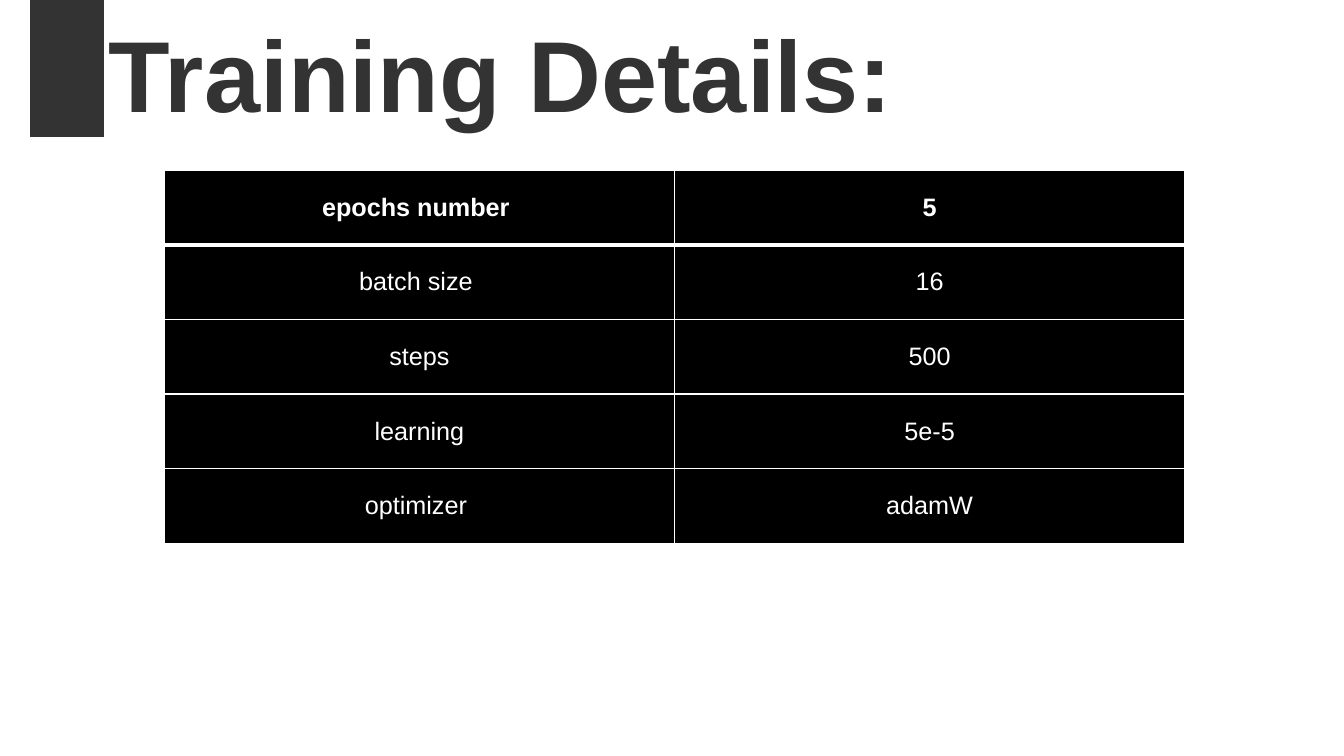
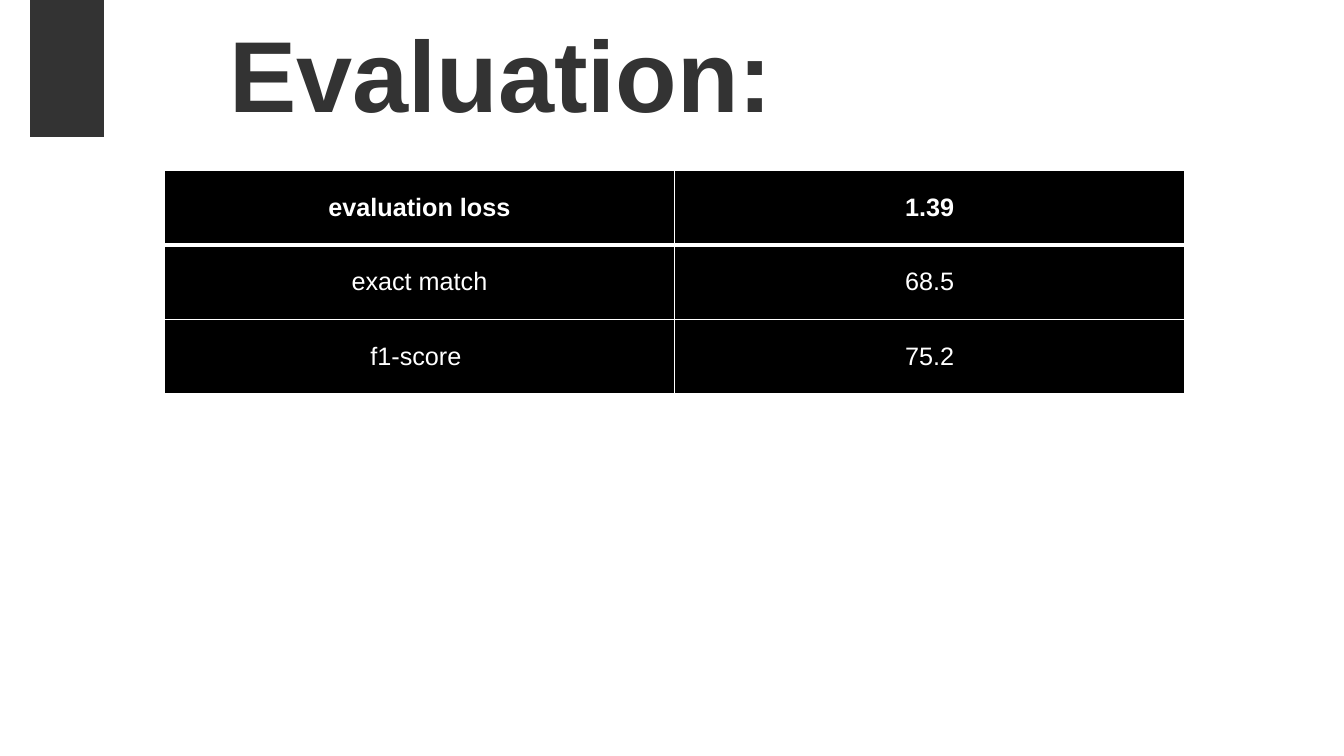
"""Build the training details and evaluation slides."""
from dataclasses import dataclass

from lxml.etree import SubElement as Sub
from pptx import Presentation as Deck
from pptx.dml.color import RGBColor as Rgb
from pptx.enum.shapes import MSO_SHAPE as Kind
from pptx.enum.text import MSO_ANCHOR as Anchor
from pptx.enum.text import MSO_AUTO_SIZE as Fit
from pptx.enum.text import PP_ALIGN as Align
from pptx.oxml.ns import qn
from pptx.util import Inches, Pt


@dataclass(frozen=True)
class Theme:
    """Hold the shared colours, font and type sizes."""
    dark: str = "333333"
    black: str = "000000"
    white: str = "FFFFFF"
    font: str = "Arial"
    head: int = 72
    body: int = 18
    thin: int = 1
    thick: int = 3


THEME = Theme()
ROW = 0.74
COL = 5.06

SLIDES = [
    ("Training Details:", [
        ("epochs number ", "5"),
        ("batch size ", "16"),
        ("steps", "500"),
        ("learning", "5e-5"),
        ("optimizer ", "adamW"),
    ]),
    ("Evaluation:", [
        ("evaluation loss", "1.39"),
        ("exact match", "68.5"),
        ("f1-score ", "75.2"),
    ]),
]


def apply(item, form):
    """Set each attribute named in a dict of format values."""
    for name, value in form.items():
        setattr(item, name, value)


def paint(fill, tone):
    """Give a fill one solid colour."""
    fill.solid()
    fill.fore_color.rgb = Rgb.from_string(tone)


def write(frame, text, size, tone, bold):
    """Write one centred line in a text frame."""
    frame.text = text
    line = frame.paragraphs[0]
    line.alignment = Align.CENTER
    font = line.runs[0].font
    apply(font, {"name": THEME.font, "size": Pt(size), "bold": bold})
    font.color.rgb = Rgb.from_string(tone)


def add_title(slide, text):
    """Place and format the title placeholder."""
    title = slide.shapes.title
    apply(title, {"left": Inches(1), "top": Inches(0.06),
                  "width": Inches(7.94), "height": Inches(1.3)})
    frame = title.text_frame
    apply(frame, {"word_wrap": False, "auto_size": Fit.NONE,
                  "vertical_anchor": Anchor.TOP,
                  "margin_left": 0, "margin_right": 0,
                  "margin_top": Inches(0.06), "margin_bottom": 0})
    write(frame, text, THEME.head, THEME.dark, True)


def add_band(slide):
    """Draw the dark band at the top left."""
    band = slide.shapes.add_shape(
        Kind.RECTANGLE, Inches(0.3), 0, Inches(0.73), Inches(1.36))
    band.shadow.inherit = False
    paint(band.fill, THEME.dark)
    band.line.fill.background()


def add_edge(cell, side, width):
    """Draw one white border of a cell."""
    edge = Sub(cell._tc.get_or_add_tcPr(), qn(f"a:ln{side}"),
               w=str(Pt(width)))
    fill = Sub(edge, qn("a:solidFill"))
    Sub(fill, qn("a:srgbClr"), val=THEME.white)


def add_cell(cell, text, row):
    """Fill one table cell, with a thick rule under the first row."""
    for side in "LRTB":
        rule = (side, row) in (("B", 0), ("T", 1))
        add_edge(cell, side, THEME.thick if rule else THEME.thin)
    paint(cell.fill, THEME.black)
    cell.vertical_anchor = Anchor.MIDDLE
    write(cell.text_frame, text, THEME.body, THEME.white, row == 0)


def add_grid(slide, data):
    """Add a two-column table of names and values."""
    wide = len(data[0])
    table = slide.shapes.add_table(
        len(data), wide, Inches(1.63), Inches(1.69),
        Inches(COL * wide), Inches(ROW * len(data))).table
    table.horz_banding = False
    for col in table.columns:
        col.width = Inches(COL)
    for row, texts in enumerate(data):
        table.rows[row].height = Inches(ROW)
        for col, text in enumerate(texts):
            add_cell(table.cell(row, col), text, row)


def main():
    """Build and save the deck."""
    deck = Deck()
    apply(deck, {"slide_width": Inches(13.33), "slide_height": Inches(7.5)})
    for title, data in SLIDES:
        slide = deck.slides.add_slide(deck.slide_layouts[5])
        paint(slide.background.fill, THEME.white)
        add_title(slide, title)
        add_band(slide)
        add_grid(slide, data)
    deck.save("out.pptx")


if __name__ == "__main__":
    main()
